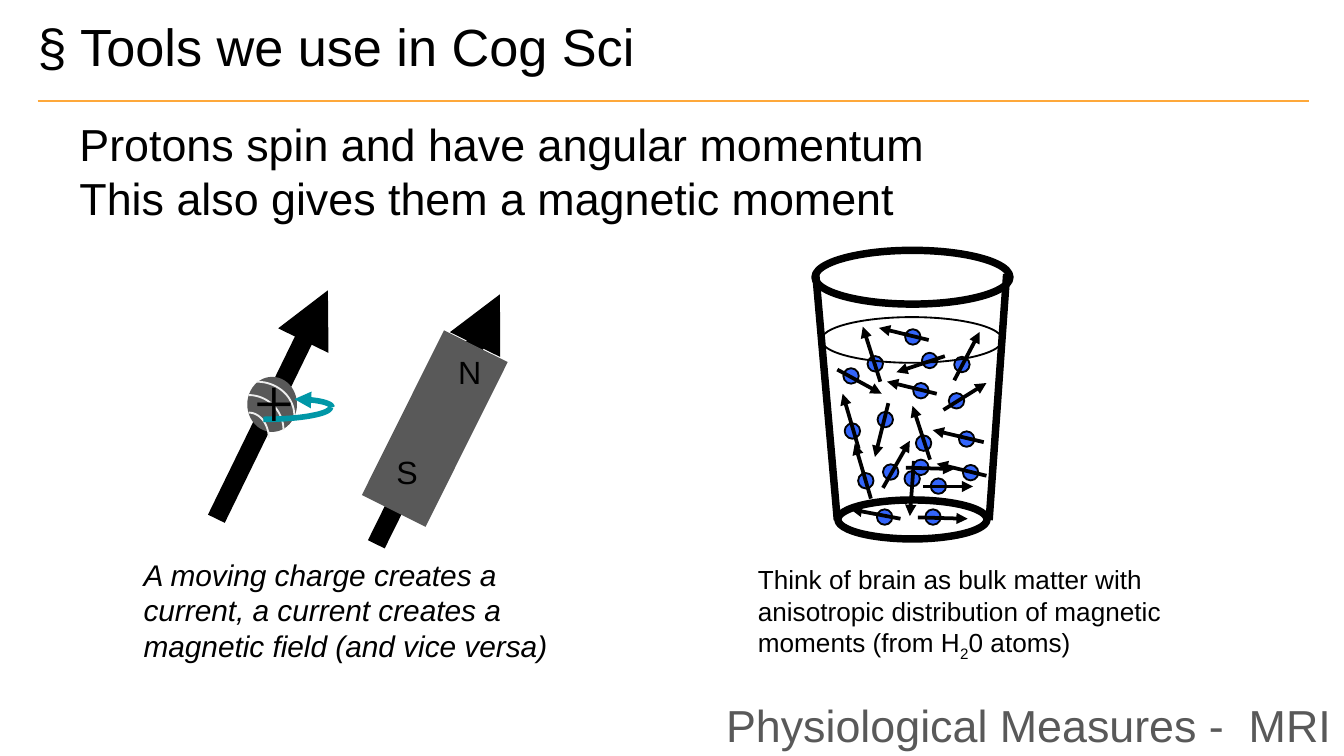
import math

from pptx import Presentation
from pptx.dml.color import RGBColor
from pptx.enum.shapes import MSO_CONNECTOR, MSO_SHAPE
from pptx.enum.text import MSO_ANCHOR, PP_ALIGN
from pptx.oxml.ns import qn
from pptx.util import Emu, Inches, Pt
from lxml import etree

LINE = MSO_CONNECTOR.STRAIGHT
OVAL = MSO_SHAPE.OVAL
RECT = MSO_SHAPE.RECTANGLE
TOP = MSO_ANCHOR.TOP
LEFT = PP_ALIGN.LEFT

# The grid has 1000 columns and 562.5 rows, 100 to the inch
COLS, ROWS = 1000, 562.5
CELL = Inches(0.01)

COLORS = {
    "ink": "000000", "gray": "595959", "pale": "EEEEEE",
    "teal": "0097A7", "blue": "3365FB", "gold": "FEA83A",
}

# Each proton: centre, then tail and tip of its arrow
PROTONS = [
    (715.5, 271, 710, 283, 729, 247), (633, 279.5, 623, 275, 656, 293),
    (685, 290.5, 697, 293, 660, 284), (658.5, 312, 661, 300, 651, 340),
    (678.5, 356, 680, 343, 677, 384), (687, 329.5, 692, 342, 679, 302),
    (644, 357.5, 648, 371, 636, 330), (698, 361.5, 687, 362, 724, 362),
    (711.5, 298, 702, 305, 734, 285), (691.5, 268, 703, 265, 667, 277),
    (719, 326.5, 732, 329, 694, 320), (662.5, 351, 657, 363, 677, 328),
    (722, 351.5, 734, 354, 697, 345), (658, 384.5, 670, 386, 633, 379),
    (694, 384.5, 683, 385, 720, 386), (679, 250.5, 691, 253, 654, 244),
    (651, 270.5, 655, 284, 642, 243), (634, 320.5, 639, 334, 627, 293),
    (685, 347.5, 674, 348, 710, 349),
]


def grid(*cells):
    return [Emu(round(c * CELL)) for c in cells]


def paint(name):
    return RGBColor.from_string(COLORS[name])


def stroke(item, color, width, head=None):
    """Style a line; head is 'headEnd' (start) or 'tailEnd' (finish)."""
    item.line.color.rgb = paint(color)
    item.line.width = Pt(width)
    if head:
        ln = item.line._get_or_add_ln()
        etree.SubElement(ln, qn("a:" + head), type="triangle")


def write(item, lines, size, color="ink", font="Arial", pad=(10, 5),
          wrap=True, italic=False, space=None):
    """Fill a frame; a line is a list of runs, where '_' marks a subscript."""
    frame = item.text_frame
    frame.word_wrap = wrap
    frame.vertical_anchor = TOP
    frame.margin_left, frame.margin_top = grid(*pad)
    frame.margin_right, frame.margin_bottom = grid(*pad)
    for i, runs in enumerate(lines):
        para = frame.add_paragraph() if i else frame.paragraphs[0]
        para.alignment = LEFT
        if space:
            para.line_spacing = space
        for text in runs:
            run = para.add_run()
            run.text = text.lstrip("_")
            run.font.size = Pt(size)
            run.font.name = font
            run.font.italic = italic
            run.font.color.rgb = paint(color)
            if text.startswith("_"):
                run.font._element.set("baseline", "-25000")


def label(slide, box, lines, size, **style):
    write(slide.shapes.add_textbox(*grid(*box)), lines, size, **style)


def line(slide, ends, width, color="ink", head=None):
    item = slide.shapes.add_connector(LINE, *grid(*ends))
    stroke(item, color, width, head)
    etree.SubElement(item._element.spPr, qn("a:effectLst"))


def solid(slide, kind, box, fill=None, width=0, turn=0):
    item = slide.shapes.add_shape(kind, *grid(*box))
    item.shadow.inherit = False
    item.rotation = turn
    if fill:
        item.fill.solid()
        item.fill.fore_color.rgb = paint(fill)
    else:
        item.fill.background()
    if width:
        stroke(item, "ink", width)
    else:
        item.line.fill.background()


def arc(slide, mid, radii, start, color, width, head=None):
    """Draw a clockwise quarter of an ellipse from the start angle."""
    angles = [math.radians(start + 90 * i / 24) for i in range(25)]
    dots = [grid(mid[0] + radii[0] * math.cos(a),
                 mid[1] + radii[1] * math.sin(a)) for a in angles]
    path = slide.shapes.build_freeform(*dots[0])
    path.add_line_segments(dots[1:], close=False)
    item = path.convert_to_shape()
    item.shadow.inherit = False
    item.fill.background()
    stroke(item, color, width, head)


def charge(slide):
    line(slide, (161, 386, 244, 216), 10, head="tailEnd")
    solid(slide, OVAL, (184, 280.4, 37, 41), "gray")
    # Stripes on the ball
    for mid, radii in (((191, 309), (28, 25)), ((185, 320), (26, 26)),
                       ((185, 326), (15, 19))):
        arc(slide, mid, radii, -90, "pale", 1)
    # Spin arrow
    arc(slide, (219, 303), (28, 6), -90, "teal", 3, "headEnd")
    arc(slide, (196, 303), (50, 9), 0, "teal", 3)
    label(slide, (184, 263.4, 40, 69), [["+"]], 38.2,
          font="Times New Roman", pad=(5, 2), wrap=False)


def magnet(slide):
    line(slide, (280, 405, 372, 219), 10, head="tailEnd")
    solid(slide, RECT, (297, 250.4, 53, 137), "gray", turn=26.5)
    for pole, x, y in (("N", 336, 260.4), ("S", 290, 334.4)):
        label(slide, (x, y, 27, 34), [[pole]], 17.2, pad=(5, 2), wrap=False)


def glass(slide):
    solid(slide, OVAL, (606.4, 186.3, 145, 40), width=4)
    solid(slide, OVAL, (623.4, 372, 111, 29), width=4)
    line(slide, (623, 387, 607, 204), 4)
    line(slide, (736, 387, 749, 204), 4)
    for x, y, *ends in PROTONS:
        solid(slide, OVAL, (x - 5.5, y - 5.5, 11.5, 11.5), "blue", 1)
        line(slide, ends, 2, head="tailEnd")
    # Water level
    solid(slide, OVAL, (611, 236, 135, 34), width=1)


def main():
    deck = Presentation()
    deck.slide_width, deck.slide_height = grid(COLS, ROWS)
    slide = deck.slides.add_slide(deck.slide_layouts[5])

    # Heading
    title = slide.shapes.title
    title.left, title.top, title.width, title.height = grid(18, 0.5, 675, 94)
    write(title, [["§ Tools we use in Cog Sci"]], 28, pad=(10, 10))
    line(slide, (28, 75.2, 974, 75.2), 0.75, "gold")
    label(slide, (49.3, 82, 655, 91),
          [["Protons spin and have angular momentum"],
           ["This also gives them a magnetic moment"]], 24, wrap=False)

    # Drawings
    charge(slide)
    magnet(slide)
    glass(slide)

    # Captions
    label(slide, (97, 409, 344, 91),
          [["A moving charge creates a current, a current creates "
            "a magnetic field (and vice versa)"]], 16, italic=True)
    label(slide, (554, 414.4, 378, 81),
          [["Think of brain as bulk matter with anisotropic distribution "
            "of magnetic moments (from H", "_2", "0 atoms)"]], 14)
    label(slide, (530.4, 512, 536, 54), [["Physiological Measures -  MRI"]],
          24, color="gray", pad=(10, 10), space=0.95)

    deck.save("out.pptx")


if __name__ == "__main__":
    main()
